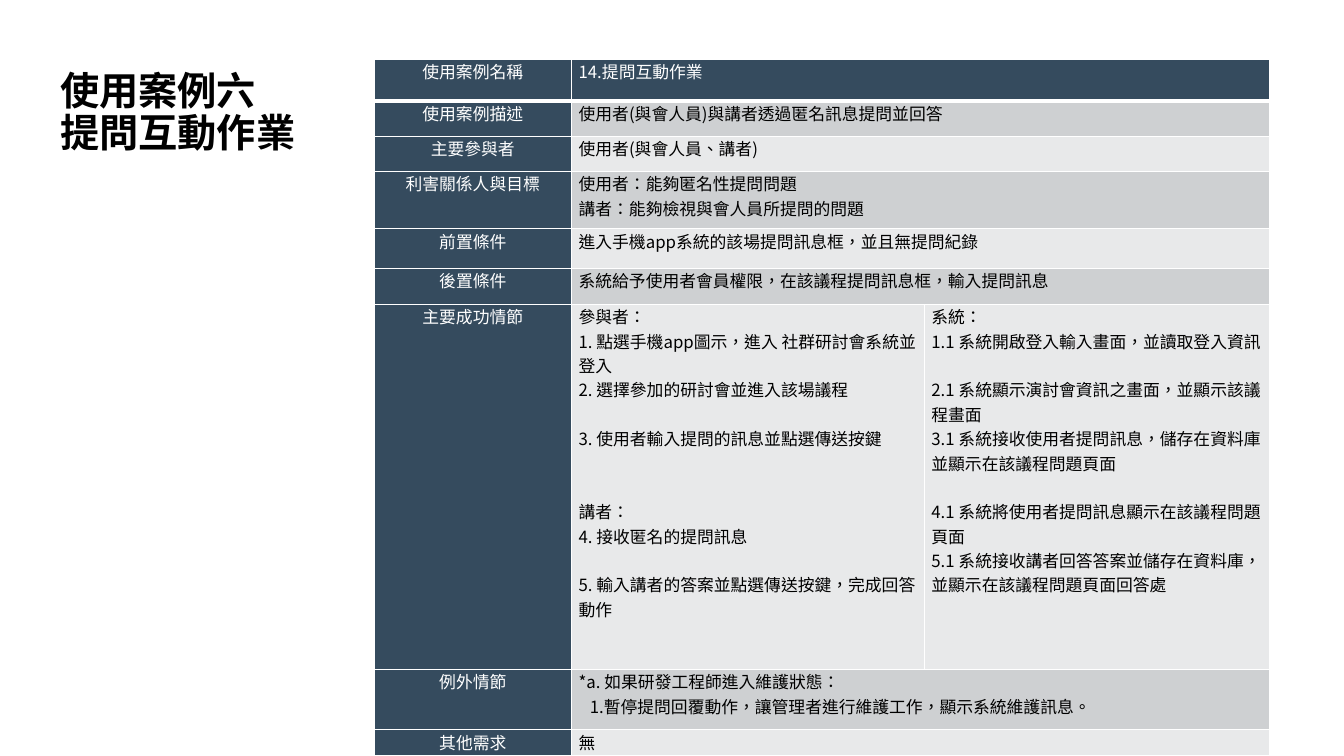
from dataclasses import dataclass

from lxml.etree import SubElement
from pptx import Presentation
from pptx.dml.color import RGBColor
from pptx.enum.lang import MSO_LANGUAGE_ID
from pptx.enum.text import MSO_ANCHOR, PP_ALIGN
from pptx.oxml import parse_xml
from pptx.oxml.ns import nsdecls, qn
from pptx.util import Inches, Pt

COLOURS = {
    "label": "354B5E",
    "odd": "CED0D2",
    "even": "E8E9EA",
    "light": "FFFFFF",
    "dark": "000000",
}
TABLE_FONT = "Noto Sans CJK SC"
TITLE_FONT = "Arial"
LINE_HEIGHT = 17.4  # points, one line of 12 pt table text

# Shares of the slide, in percent
TABLE_LEFT, TABLE_TOP = 27.83, 7.87
COLUMN_SHARES = (14.7, 26.25, 25.65)
TITLE_LEFT, TITLE_TOP, TITLE_WIDTH, TITLE_HEIGHT = 3.75, 8, 20.1, 13.33


@dataclass(frozen=True)
class Line:
    text: str
    lines_before: int = 0
    indent: float = 0


@dataclass(frozen=True)
class CaseRow:
    share: float
    label: str
    columns: tuple[tuple[Line, ...], ...]


def single(share: float, label: str, *texts: str) -> CaseRow:
    """A row whose content spans both content columns."""
    return CaseRow(share, label, (tuple(Line(text) for text in texts),))


ACTOR_STEPS = (
    Line("參與者："),
    Line("1. 點選手機app圖示，進入 社群研討會系統並登入"),
    Line("2. 選擇參加的研討會並進入該場議程"),
    Line("3. 使用者輸入提問的訊息並點選傳送按鍵", 1),
    Line("講者：", 2),
    Line("4. 接收匿名的提問訊息"),
    Line("5. 輸入講者的答案並點選傳送按鍵，完成回答動作", 1),
)
SYSTEM_STEPS = (
    Line("系統：\n1.1 系統開啟登入輸入畫面，並讀取登入資訊"),
    Line("2.1 系統顯示演討會資訊之畫面，並顯示該議程畫面", 1),
    Line("3.1 系統接收使用者提問訊息，儲存在資料庫並顯示在該議程問題頁面"),
    Line("4.1 系統將使用者提問訊息顯示在該議程問題頁面", 1),
    Line("5.1 系統接收講者回答答案並儲存在資料庫，並顯示在該議程問題頁面回答處"),
)
EXCEPTIONS = (
    Line("*a. 如果研發工程師進入維護狀態："),
    Line("1.暫停提問回覆動作，讓管理者進行維護工作，顯示系統維護訊息。", indent=8),
)
CASE_ROWS = (
    single(5.47, "使用案例名稱", "14.提問互動作業"),
    single(4.67, "使用案例描述", "使用者(與會人員)與講者透過匿名訊息提問並回答"),
    single(4.67, "主要參與者", "使用者(與會人員、講者)"),
    single(7.6, "利害關係人與目標", "使用者：能夠匿名性提問問題", "講者：能夠檢視與會人員所提問的問題"),
    single(5.2, "前置條件", "進入手機app系統的該場提問訊息框，並且無提問紀錄"),
    single(4.8, "後置條件", "系統給予使用者會員權限，在該議程提問訊息框，輸入提問訊息"),
    CaseRow(48.27, "主要成功情節", (ACTOR_STEPS, SYSTEM_STEPS)),
    CaseRow(8, "例外情節", (EXCEPTIONS,)),
    single(3.45, "其他需求", "無"),
)


def add_spans(para, text: str, font_name: str, size: float, colour: str, bold: bool = False) -> None:
    for index, part in enumerate(text.split("\n")):
        if index:
            para.add_line_break()
        span = para.add_run()
        span.text = part
        font = span.font
        font.size, font.bold = Pt(size), bold
        font.color.rgb = RGBColor.from_string(COLOURS[colour])
        font.name = font_name
        font.language_id = MSO_LANGUAGE_ID.TRADITIONAL_CHINESE
        if font_name == TABLE_FONT:
            SubElement(span._r.get_or_add_rPr(), qn("a:ea"), typeface=font_name)


def set_borders(cell, top: float, bottom: float) -> None:
    properties = cell._tc.get_or_add_tcPr()
    widths = {"lnL": 1, "lnR": 1, "lnT": top, "lnB": bottom}
    for index, (side, width) in enumerate(widths.items()):
        properties.insert(index, parse_xml(
            f'<a:{side} {nsdecls("a")} w="{Pt(width)}"><a:solidFill>'
            f'<a:srgbClr val="{COLOURS["light"]}"/></a:solidFill></a:{side}>'))


def style_cell(cell, row_index: int, fill: str) -> None:
    cell.fill.solid()
    cell.fill.fore_color.rgb = RGBColor.from_string(COLOURS[fill])
    cell.margin_left = cell.margin_right = Inches(0.07)
    cell.margin_top = cell.margin_bottom = 0
    set_borders(cell, 3 if row_index == 1 else 1, 3 if row_index == 0 else 1)


def write_cell(cell, lines: tuple[Line, ...], colour: str, align: PP_ALIGN) -> None:
    frame = cell.text_frame
    for index, line in enumerate(lines):
        para = frame.add_paragraph() if index else frame.paragraphs[0]
        para.alignment = align
        if line.lines_before:
            para.space_before = Pt(line.lines_before * LINE_HEIGHT)
        if line.indent:
            para._p.get_or_add_pPr().set("marL", str(Pt(line.indent)))
        add_spans(para, line.text, TABLE_FONT, 12, colour)


def add_case_table(page, width: int, height: int) -> None:
    def across(share: float) -> int:
        return round(width * share / 100)

    def down(share: float) -> int:
        return round(height * share / 100)

    table = page.shapes.add_table(
        len(CASE_ROWS), len(COLUMN_SHARES), across(TABLE_LEFT), down(TABLE_TOP),
        across(sum(COLUMN_SHARES)), down(sum(row.share for row in CASE_ROWS))).table
    for column, share in zip(table.columns, COLUMN_SHARES):
        column.width = across(share)

    for index, row in enumerate(CASE_ROWS):
        table.rows[index].height = down(row.share)
        content_fill = "label" if index == 0 else "odd" if index % 2 else "even"
        for column in range(len(COLUMN_SHARES)):
            style_cell(table.cell(index, column), index, content_fill if column else "label")
        if len(row.columns) == 1:
            table.cell(index, 1).merge(table.cell(index, 2))
        write_cell(table.cell(index, 0), (Line(row.label),), "light", PP_ALIGN.CENTER)
        for column, lines in enumerate(row.columns, start=1):
            write_cell(table.cell(index, column), lines, "dark" if index else "light", PP_ALIGN.LEFT)


def add_title(page, width: int, height: int) -> None:
    box = page.shapes.add_textbox(
        round(width * TITLE_LEFT / 100), round(height * TITLE_TOP / 100),
        round(width * TITLE_WIDTH / 100), round(height * TITLE_HEIGHT / 100))
    frame = box.text_frame
    frame.word_wrap = True
    frame.vertical_anchor = MSO_ANCHOR.BOTTOM
    para = frame.paragraphs[0]
    para.line_spacing = 0.9
    add_spans(para, "使用案例六\n提問互動作業", TITLE_FONT, 28, "dark", bold=True)


def main() -> None:
    deck = Presentation()
    deck.slide_width, deck.slide_height = Inches(13.33), Inches(7.5)
    page = deck.slides.add_slide(deck.slide_layouts[6])
    add_case_table(page, deck.slide_width, deck.slide_height)
    add_title(page, deck.slide_width, deck.slide_height)
    deck.save("out.pptx")


if __name__ == "__main__":
    main()
